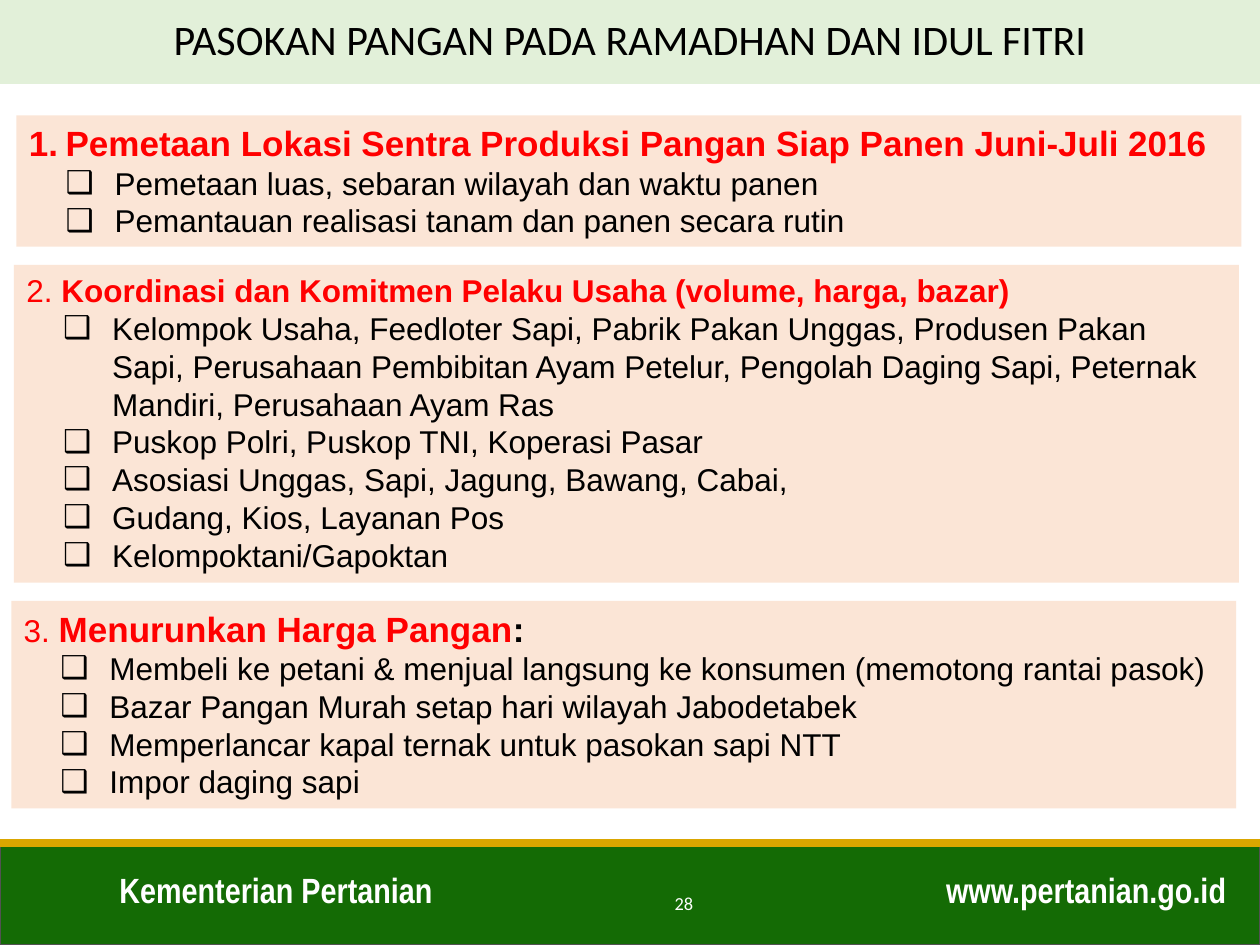
from dataclasses import dataclass
from typing import Optional

from lxml import etree
from pptx import Presentation
from pptx.dml.color import RGBColor
from pptx.enum import shapes, text
from pptx.oxml import ns
from pptx.util import Pt


@dataclass(frozen=True)
class Theme:
    black: str = "000000"
    white: str = "FFFFFF"
    red: str = "FF0000"
    mint: str = "E2F0D9"
    peach: str = "FBE5D6"
    green: str = "146B05"
    gold: str = "DAA600"
    gray: str = "525252"
    title: float = 24
    head: float = 20
    body: float = 18
    page: float = 10.5


T = Theme()


@dataclass(frozen=True)
class Box:
    left: float
    top: float
    width: float
    height: float


@dataclass(frozen=True)
class Style:
    face: str
    size: float
    color: str
    bold: bool = False


@dataclass(frozen=True)
class Part:
    words: str
    style: Style


@dataclass(frozen=True)
class Panel:
    box: Box
    head: list[Part]
    items: list[str]
    number: bool = False


@dataclass(frozen=True)
class Label:
    box: Box
    words: str
    style: Style
    align: text.PP_ALIGN = text.PP_ALIGN.LEFT
    anchor: text.MSO_ANCHOR = text.MSO_ANCHOR.TOP


BODY = Style("Arial", T.body, T.black)
NUMBER = Style("Arial", T.body, T.red)
MINOR = Style("Arial", T.body, T.red, True)
MAJOR = Style("Arial", T.head, T.red, True)
COLON = Style("Arial", T.head, T.black, True)
BRAND = Style("Arial Narrow", T.head, T.white, True)

PANELS = [
    Panel(Box(9.4, 66, 700, 75),
          [Part("Pemetaan Lokasi Sentra Produksi Pangan Siap Panen Juni-Juli 2016", MAJOR)],
          ["Pemetaan luas, sebaran wilayah dan waktu panen",
           "Pemantauan realisasi tanam dan panen secara rutin"], True),
    Panel(Box(8, 151.4, 700, 181.5),
          [Part("2. ", NUMBER),
           Part("Koordinasi dan Komitmen Pelaku Usaha (volume, harga, bazar)", MINOR)],
          ["Kelompok Usaha, Feedloter Sapi, Pabrik Pakan Unggas, Produsen Pakan Sapi, "
           "Perusahaan Pembibitan Ayam Petelur, Pengolah Daging Sapi, "
           "Peternak Mandiri, Perusahaan Ayam Ras",
           "Puskop Polri, Puskop TNI, Koperasi Pasar",
           "Asosiasi Unggas, Sapi, Jagung, Bawang, Cabai,",
           "Gudang, Kios, Layanan Pos",
           "Kelompoktani/Gapoktan"]),
    Panel(Box(6.5, 343.4, 700, 118.6),
          [Part("3. ", NUMBER), Part("Menurunkan Harga Pangan", MAJOR), Part(":", COLON)],
          ["Membeli ke petani & menjual langsung ke konsumen (memotong rantai pasok)",
           "Bazar Pangan Murah setap hari wilayah Jabodetabek",
           "Memperlancar kapal ternak untuk pasokan sapi NTT",
           "Impor daging sapi"]),
]

LABELS = [
    Label(Box(61.2, 492.5, 263.5, 31.7), "Kementerian Pertanian", BRAND),
    Label(Box(507.6, 492.5, 200.2, 31.7), "www.pertanian.go.id", BRAND,
          text.PP_ALIGN.RIGHT),
    Label(Box(241.2, 501.8, 162, 28.8), "28", Style("Calibri", T.page, T.white),
          text.PP_ALIGN.RIGHT, text.MSO_ANCHOR.MIDDLE),
]


def ink(font, style: Style) -> None:
    font.name, font.size, font.bold = style.face, Pt(style.size), style.bold
    font.color.rgb = RGBColor.from_string(style.color)


def place(box: Box) -> list[Pt]:
    return [Pt(n) for n in (box.left, box.top, box.width, box.height)]


def block(slide, box: Box, fill: str, edge: Optional[str] = None):
    shape = slide.shapes.add_shape(shapes.MSO_SHAPE.RECTANGLE, *place(box))
    shape.shadow.inherit = False
    shape.fill.solid()
    shape.fill.fore_color.rgb = RGBColor.from_string(fill)
    if edge:
        shape.line.color.rgb = RGBColor.from_string(edge)
        shape.line.width = Pt(1)
    else:
        shape.line.fill.background()
    return shape


def bullet(para, left: float, hang: float, tag: str, **mark: str) -> None:
    """Give a paragraph a hanging indent and a bullet element."""
    props = para._p.get_or_add_pPr()
    props.set("marL", str(Pt(left)))
    props.set("indent", str(Pt(-hang)))
    etree.SubElement(props, ns.qn("a:buFont"), typeface="Arial")
    etree.SubElement(props, ns.qn(tag), **mark)


def panel(slide, data: Panel) -> None:
    frame = block(slide, data.box, T.peach).text_frame
    frame.word_wrap = True
    frame.vertical_anchor = text.MSO_ANCHOR.TOP
    head = frame.paragraphs[0]
    head.alignment = text.PP_ALIGN.LEFT
    if data.number:
        bullet(head, 21, 21, "a:buAutoNum", type="arabicPeriod")
    for part in data.head:
        run = head.add_run()
        run.text = part.words
        ink(run.font, part.style)
    for item in data.items:
        para = frame.add_paragraph()
        para.alignment = text.PP_ALIGN.LEFT
        bullet(para, 49, 28, "a:buChar", char="❑")
        para.text = item
        ink(para.font, BODY)


def write(frame, data: Label) -> None:
    frame.word_wrap = True
    frame.vertical_anchor = data.anchor
    para = frame.paragraphs[0]
    para.text = data.words
    para.alignment = data.align
    ink(para.font, data.style)


def footer(slide) -> None:
    top = 481.9
    block(slide, Box(0, top, 720, 540 - top), T.green, T.gray)
    rule = slide.shapes.add_connector(
        shapes.MSO_CONNECTOR.STRAIGHT, Pt(0), Pt(top), Pt(720), Pt(top))
    rule.line.color.rgb = RGBColor.from_string(T.gold)
    rule.line.width = Pt(4.5)
    etree.SubElement(rule._element.spPr, ns.qn("a:effectLst"))
    for label in LABELS:
        write(slide.shapes.add_textbox(*place(label.box)).text_frame, label)


def title(slide) -> None:
    box = Box(0, 0, 720, 48)
    frame = block(slide, box, T.mint).text_frame
    write(frame, Label(box, "PASOKAN PANGAN PADA RAMADHAN DAN IDUL FITRI",
                       Style("Calibri", T.title, T.black),
                       text.PP_ALIGN.CENTER, text.MSO_ANCHOR.MIDDLE))
    frame.paragraphs[0].line_spacing = 0.9


def main() -> None:
    deck = Presentation()
    deck.slide_width, deck.slide_height = Pt(720), Pt(540)
    slide = deck.slides.add_slide(deck.slide_layouts[6])
    footer(slide)
    title(slide)
    for data in PANELS:
        panel(slide, data)
    deck.save("out.pptx")


if __name__ == "__main__":
    main()
